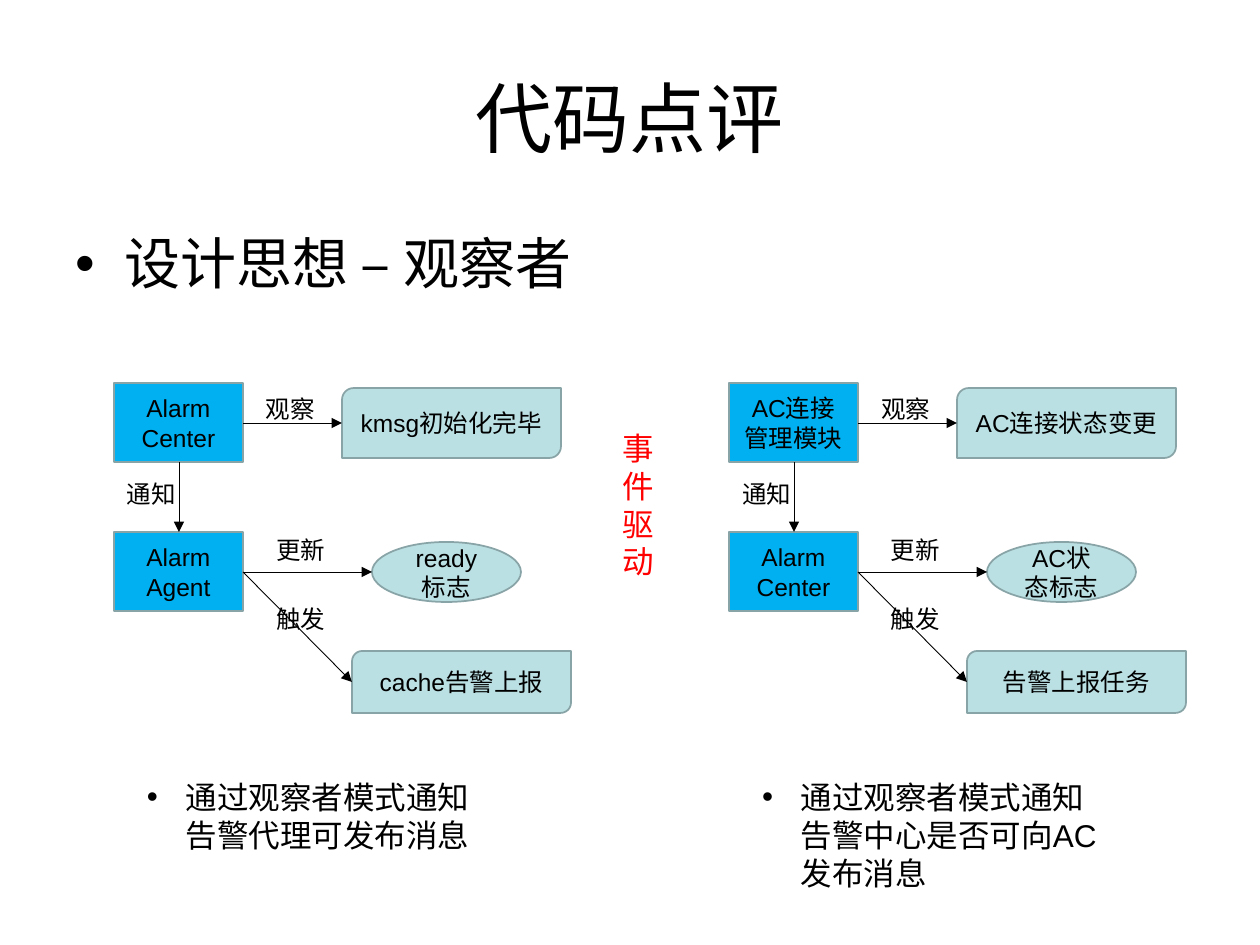
from pptx import Presentation
from pptx.dml.color import RGBColor
from pptx.enum.shapes import MSO_CONNECTOR as Link, MSO_SHAPE as Form
from pptx.enum.text import MSO_ANCHOR as Anchor, PP_ALIGN as Align
from pptx.oxml.ns import qn
from pptx.util import Emu, Pt
from lxml.etree import SubElement

HUES = {"ink": "000000", "red": "FF0000", "box": "00B0F0",
        "pale": "BBE0E3", "edge": "89A4A7"}
SCALE = 914400 / 126
STEP = 615  # px from the left diagram to the right one


def px(*nums):
    return [Emu(round(n * SCALE)) for n in nums]


def hue(name):
    return RGBColor.from_string(HUES[name])


class Page:
    font = "Arial"

    def __init__(self, slide):
        self.slide = slide

    def put(self, frame, text, size, color="ink", align=Align.LEFT, bullet=0, inset=(13, 6)):
        """Fill a frame with one paragraph; bullet is its hanging indent in px."""
        frame.word_wrap = True
        side, edge = px(*inset)
        frame.margin_left = frame.margin_right = side
        frame.margin_top = frame.margin_bottom = edge
        para = frame.paragraphs[0]
        if bullet:
            props = para._p.get_or_add_pPr()
            hang = px(bullet)[0]
            props.set("marL", str(hang))
            props.set("indent", str(-hang))
            SubElement(props, qn("a:buFont"), typeface="Arial")
            SubElement(props, qn("a:buChar"), char="•")
        para.alignment = align
        para.space_before = Pt(0)
        run = para.add_run()
        run.text = text
        run.font.name = self.font
        run.font.size = Pt(size)
        run.font.color.rgb = hue(color)

    def holder(self, shape, spot, text, size, **look):
        shape.left, shape.top, shape.width, shape.height = px(*spot)
        self.put(shape.text_frame, text, size, **look)

    def label(self, spot, text, size=14, **look):
        box = self.slide.shapes.add_textbox(*px(*spot))
        self.put(box.text_frame, text, size, **look)

    def node(self, form, spot, text, fill="pale", side=13):
        shape = self.slide.shapes.add_shape(form, *px(*spot))
        shape.shadow.inherit = False
        shape.fill.solid()
        shape.fill.fore_color.rgb = hue(fill)
        shape.line.color.rgb = hue("edge")
        shape.line.width = Pt(1)
        shape.text_frame.vertical_anchor = Anchor.MIDDLE
        self.put(shape.text_frame, text, 14, align=Align.CENTER, inset=(side, 6))

    def arrow(self, *ends):
        link = self.slide.shapes.add_connector(Link.STRAIGHT, *px(*ends))
        link.line.color.rgb = hue("ink")
        link.line.width = Pt(0.5)
        props = link._element.spPr
        SubElement(props.find(qn("a:ln")), qn("a:tailEnd"), type="triangle")
        SubElement(props, qn("a:effectLst"))

    def flow(self, x, source, event, target, flag, task):
        """Draw one observer diagram whose boxes start at x."""
        right, mid = x + 129, x + 65
        diag = Form.ROUND_2_DIAG_RECTANGLE
        self.node(Form.RECTANGLE, (x, 383, 129, 79), source, "box")
        self.node(Form.RECTANGLE, (x, 532, 129, 79), target, "box")
        self.node(diag, (x + 228, 388, 219, 70), event, side=6)
        self.node(Form.OVAL, (x + 258, 542, 149, 60), flag)
        self.node(diag, (x + 238, 651, 219, 62), task, side=6)
        self.arrow(right, 423, x + 228, 423)
        self.arrow(mid, 462, mid, 532)
        self.arrow(right, 572, x + 258, 572)
        self.arrow(right, 572, x + 238, 682)
        for dx, y, text in ((139, 388, "观察"), (0, 473, "通知"),
                            (149, 529, "更新"), (149, 598, "触发")):
            self.label((x + dx, y, 79, 43), text)


def main():
    deck = Presentation()
    deck.slide_width, deck.slide_height = px(1260, 945)
    slide = deck.slides.add_slide(deck.slide_layouts[1])
    page = Page(slide)
    title, body = slide.placeholders
    page.holder(title, (63, 38, 1134, 157), "代码点评", 44, align=Align.CENTER)
    page.holder(body, (63, 220, 1134, 106), "设计思想 – 观察者", 32,
                bullet=48, inset=(13, 9))

    flows = (
        ("Alarm Center", "kmsg初始化完毕", "Alarm Agent", "ready标志", "cache告警上报"),
        ("AC连接管理模块", "AC连接状态变更", "Alarm Center", "AC状态标志", "告警上报任务"),
    )
    notes = ("通过观察者模式通知告警代理可发布消息",
             "通过观察者模式通知告警中心是否可向AC发布消息")
    for i, (names, note) in enumerate(zip(flows, notes)):
        page.flow(114 + i * STEP, *names)
        page.label((134 + i * STEP, 772, 362, 126), note, 18, bullet=39)
    page.label((610, 423, 49, 164), "事件驱动", 18, color="red")
    deck.save("out.pptx")


if __name__ == "__main__":
    main()
